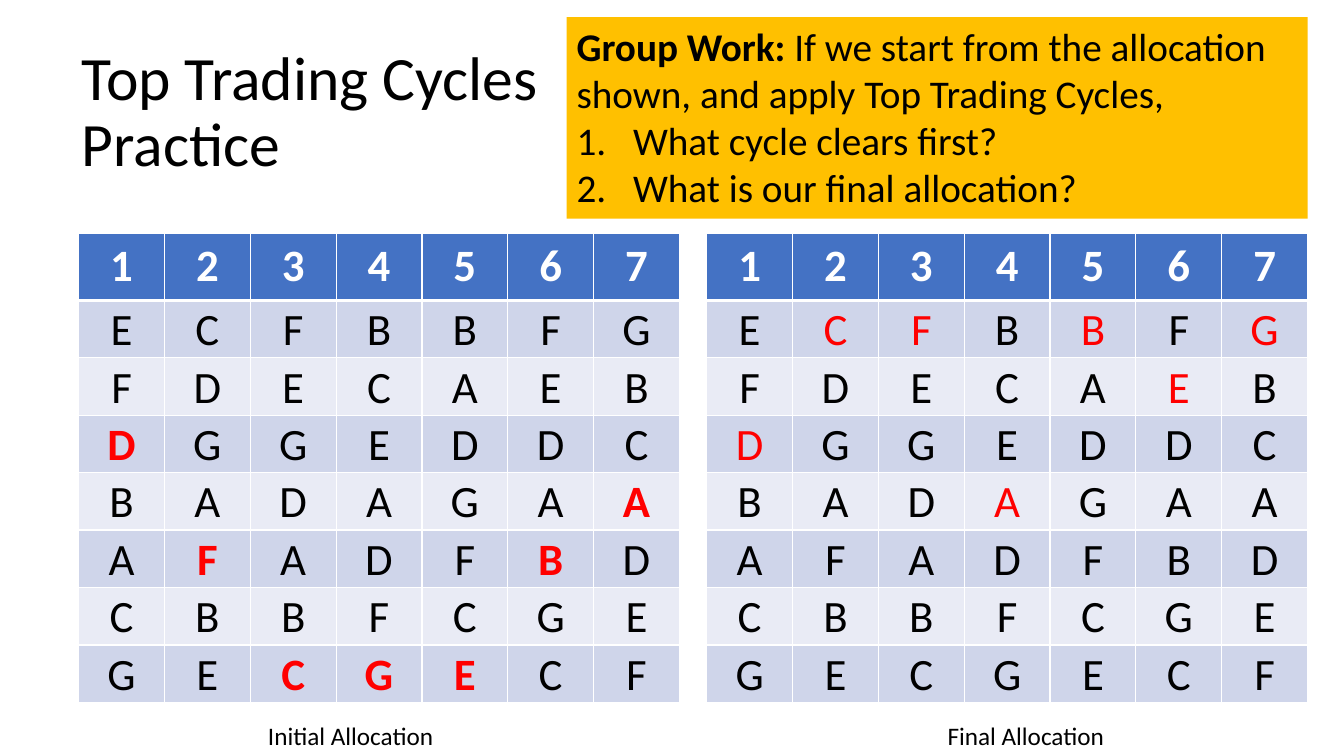
from lxml import etree
from pptx import Presentation
from pptx.dml.color import RGBColor
from pptx.enum.shapes import MSO_SHAPE
from pptx.enum.text import MSO_ANCHOR, MSO_AUTO_SIZE, PP_ALIGN
from pptx.oxml.ns import qn
from pptx.util import Inches, Pt

RECTANGLE = MSO_SHAPE.RECTANGLE
TOP, MIDDLE, BOTTOM = MSO_ANCHOR.TOP, MSO_ANCHOR.MIDDLE, MSO_ANCHOR.BOTTOM
LEFT, CENTER = PP_ALIGN.LEFT, PP_ALIGN.CENTER
GROW = MSO_AUTO_SIZE.SHAPE_TO_FIT_TEXT
TITLE_ONLY = 5
FONT = "Calibri"
COLORS = {
    "text": "000000",
    "white": "FFFFFF",
    "held": "FF0000",
    "header": "4472C4",
    "odd_row": "CFD5EA",
    "even_row": "E9EBF5",
    "task": "FFC000",
}

AGENTS = "1234567"
PREFERENCE_ROWS = ["ECFBBFG", "FDECAEB", "DGGEDDC", "BADAGAA",
                   "AFADFBD", "CBBFCGE", "GECGECF"]
INITIAL_ALLOCATION = "DFCGEBA"
FINAL_ALLOCATION = "DCFABEG"
HEADER_HEIGHT, ROW_HEIGHT = 0.66, 0.57


def rgb(name):
    return RGBColor.from_string(COLORS[name])


def style_runs(paragraph, size, color="text", bold=False):
    for run in paragraph.runs:
        run.font.name = FONT
        run.font.size = Pt(size)
        run.font.bold = bold
        run.font.color.rgb = rgb(color)


def add_title(slide, left, top, width, height):
    title = slide.shapes.title
    title.left, title.top = Inches(left), Inches(top)
    title.width, title.height = Inches(width), Inches(height)
    frame = title.text_frame
    frame.text = "Top Trading Cycles \vPractice"
    frame.vertical_anchor = MIDDLE
    heading = frame.paragraphs[0]
    heading.alignment = LEFT
    heading.line_spacing = 0.9
    style_runs(heading, 44)


def number_paragraph(paragraph, indent):
    properties = paragraph._p.get_or_add_pPr()
    properties.set("marL", str(Inches(indent)))
    properties.set("indent", str(-Inches(indent)))
    etree.SubElement(properties, qn("a:buFont"), typeface="+mj-lt")
    etree.SubElement(properties, qn("a:buAutoNum"), type="arabicPeriod")


def add_group_work(slide, left, top, width, height):
    task = slide.shapes.add_shape(RECTANGLE, Inches(left), Inches(top),
                                  Inches(width), Inches(height))
    task.shadow.inherit = False
    task.fill.solid()
    task.fill.fore_color.rgb = rgb("task")
    task.line.fill.background()
    frame = task.text_frame
    frame.word_wrap = True
    frame.vertical_anchor = TOP

    prompt = frame.paragraphs[0]
    label = prompt.add_run()
    label.text = "Group Work: "
    prompt.add_run().text = ("If we start from the allocation shown, "
                             "and apply Top Trading Cycles,")
    prompt.alignment = LEFT
    style_runs(prompt, 28)
    label.font.bold = True

    for text in ("What cycle clears first?", "What is our final allocation?"):
        question = frame.add_paragraph()
        question.text = text
        number_paragraph(question, 0.56)
        question.alignment = LEFT
        style_runs(question, 28)


def set_borders(cell, row):
    """White grid lines, heavier between the header and the first row."""
    widths = {"a:lnL": 1, "a:lnR": 1,
              "a:lnT": 3 if row == 1 else 1, "a:lnB": 3 if row == 0 else 1}
    properties = cell._tc.get_or_add_tcPr()
    for tag, width in widths.items():
        line = etree.SubElement(properties, qn(tag), w=str(Pt(width)))
        fill = etree.SubElement(line, qn("a:solidFill"))
        etree.SubElement(fill, qn("a:srgbClr"), val=COLORS["white"])


def fill_cell(cell, text, row, held):
    set_borders(cell, row)
    cell.text = text
    entry = cell.text_frame.paragraphs[0]
    entry.alignment = CENTER
    cell.fill.solid()
    if row == 0:
        cell.fill.fore_color.rgb = rgb("header")
        style_runs(entry, 32, "white", bold=True)
        return
    cell.fill.fore_color.rgb = rgb("odd_row" if row % 2 else "even_row")
    cell.vertical_anchor = BOTTOM
    cell.margin_left = cell.margin_right = cell.margin_top = Inches(0.01)
    cell.margin_bottom = 0
    style_runs(entry, 32, "held" if held else "text")


def add_preferences(slide, left, top, width, allocation, bold_held=False):
    """Preference table with each agent's allocated item highlighted."""
    rows = [AGENTS] + PREFERENCE_ROWS
    height = HEADER_HEIGHT + ROW_HEIGHT * len(PREFERENCE_ROWS)
    table = slide.shapes.add_table(len(rows), len(AGENTS), Inches(left), Inches(top),
                                   Inches(width), Inches(height)).table
    for column in table.columns:
        column.width = Inches(width / len(AGENTS))
    for r, items in enumerate(rows):
        table.rows[r].height = Inches(ROW_HEIGHT if r else HEADER_HEIGHT)
        for c, item in enumerate(items):
            held = item == allocation[c]
            cell = table.cell(r, c)
            fill_cell(cell, item, r, held)
            if held and bold_held:
                cell.text_frame.paragraphs[0].runs[0].font.bold = True


def add_caption(slide, left, top, width, height, text):
    frame = slide.shapes.add_textbox(Inches(left), Inches(top),
                                     Inches(width), Inches(height)).text_frame
    frame.text = text
    frame.word_wrap = False
    frame.auto_size = GROW
    style_runs(frame.paragraphs[0], 18)


def main():
    deck = Presentation()
    deck.slide_width, deck.slide_height = Inches(13.33), Inches(7.5)
    slide = deck.slides.add_slide(deck.slide_layouts[TITLE_ONLY])
    add_title(slide, 0.71, 0.4, 11.5, 1.45)
    add_preferences(slide, 0.78, 2.32, 5.96, INITIAL_ALLOCATION, bold_held=True)
    add_preferences(slide, 7.01, 2.32, 5.96, FINAL_ALLOCATION)
    add_group_work(slide, 5.62, 0.17, 7.35, 2)
    add_caption(slide, 2.56, 7.1, 1.86, 0.4, "Initial Allocation")
    add_caption(slide, 9.3, 7.1, 1.77, 0.4, "Final Allocation")
    deck.save("out.pptx")


if __name__ == "__main__":
    main()
